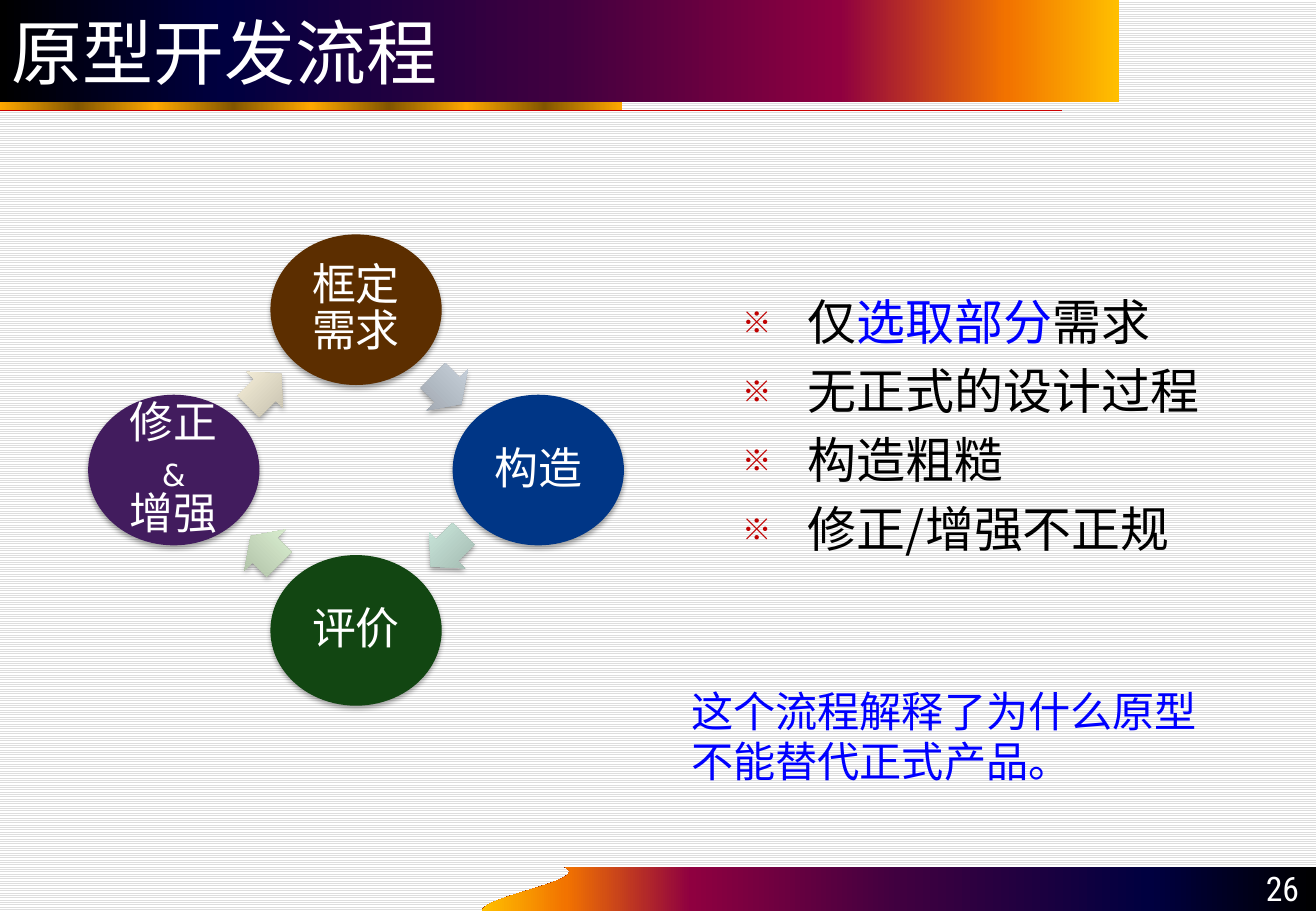
from dataclasses import dataclass
from typing import Any, NamedTuple

from lxml.etree import SubElement
from pptx import Presentation
from pptx.dml.color import RGBColor
from pptx.enum.dml import MSO_PATTERN
from pptx.enum.shapes import MSO_CONNECTOR, MSO_SHAPE as SHAPE
from pptx.enum.text import MSO_ANCHOR as ANCHOR, PP_ALIGN as ALIGN
from pptx.oxml.ns import qn
from pptx.util import Inches, Pt


@dataclass(frozen=True)
class Theme:
    white: str = "FFFFFF"
    black: str = "000000"
    stripe: str = "DDDDDD"
    blue: str = "0000FF"
    rule: str = "CC0000"
    bullet: str = "C00000"
    gold: str = "FFA800"
    bronze: str = "825600"
    sunset: tuple = ((0, "000000"), (20, "000040"), (50, "400040"),
                     (75, "8F0040"), (90, "F27300"), (100, "FFBF00"))
    cjk: str = "Noto Sans CJK SC"
    latin: str = "DejaVu Sans"
    number: str = "Roboto Condensed"
    title_size: int = 42
    body_size: int = 29
    step_size: int = 26
    note_size: int = 25
    number_size: int = 20
    ampersand_size: int = 18


THEME = Theme()


class Piece(NamedTuple):
    text: str
    size: int
    color: str
    font: str = THEME.cjk


class Step(NamedTuple):
    lines: tuple[Piece, ...]
    color: str
    dx: int
    dy: int


class Turn(NamedTuple):
    preset: Any
    rotation: int
    width: float
    height: float
    dx: float
    dy: float
    shades: tuple[str, str, str]


def apply(target: Any, values: dict[str, Any]) -> None:
    for key, value in values.items():
        setattr(target, key, value)


def rgb(color: str) -> RGBColor:
    return RGBColor.from_string(color)


def paint_solid(shape: Any, color: str) -> None:
    shape.fill.solid()
    shape.fill.fore_color.rgb = rgb(color)


def paint_gradient(shape: Any, stops: tuple, angle: int) -> None:
    shape.fill.gradient()
    shape.fill.gradient_angle = angle
    stop_list = next(shape._element.spPr.iter(qn("a:gsLst")))
    for old in list(stop_list):
        stop_list.remove(old)
    for percent, color in stops:
        stop = SubElement(stop_list, qn("a:gs"), pos=str(round(percent * 1000)))
        SubElement(stop, qn("a:srgbClr"), val=color)


def strip_style(shape: Any) -> None:
    shape.line.fill.background()
    shape.shadow.inherit = False


def add_soft_shadow(shape: Any) -> None:
    effects = shape._element.spPr.find(qn("a:effectLst"))
    shadow = SubElement(effects, qn("a:outerShdw"), blurRad=str(Pt(3.1)),
                        dist=str(Pt(1.8)), dir="5400000", rotWithShape="0")
    color = SubElement(shadow, qn("a:srgbClr"), val=THEME.black)
    SubElement(color, qn("a:alpha"), val="35000")


def add_preset(slide: Any, preset: Any, left: float, top: float, width: float, height: float) -> Any:
    shape = slide.shapes.add_shape(preset, Inches(left), Inches(top), Inches(width), Inches(height))
    strip_style(shape)
    return shape


def add_text(slide: Any, left: float, top: float, width: float, height: float) -> Any:
    box = slide.shapes.add_textbox(Inches(left), Inches(top), Inches(width), Inches(height))
    box.text_frame.word_wrap = True
    return box.text_frame


def write(paragraph: Any, piece: Piece) -> None:
    run = paragraph.add_run()
    run.text = piece.text
    apply(run.font, {"name": piece.font, "size": Pt(piece.size)})
    run.font.color.rgb = rgb(piece.color)
    SubElement(run._r.get_or_add_rPr(), qn("a:ea"), typeface=piece.font)


def paragraph_at(frame: Any, index: int) -> Any:
    return frame.add_paragraph() if index else frame.paragraphs[0]


def draw_footer(slide: Any) -> None:
    curve = ((3.97, 7.5), (3.97, 7.38), (4.87, 7.25), (4.65, 7.14))
    weights = (1, 3, 3, 1)
    count = 24
    points = [
        tuple(Inches(sum(weights[k] * (1 - t) ** (3 - k) * t ** k * curve[k][axis] for k in range(4)))
              for axis in (0, 1))
        for t in (i / count for i in range(count + 1))
    ]
    corners = [(Inches(10.83), Inches(y)) for y in (7.14, 7.5)]
    builder = slide.shapes.build_freeform(*points[0])
    builder.add_line_segments(points[1:] + corners, close=True)
    wave = builder.convert_to_shape()
    strip_style(wave)
    paint_gradient(wave, THEME.sunset, 180)
    frame = add_text(slide, 9.83, 7.13, 0.96, 0.4)
    frame.vertical_anchor = ANCHOR.BOTTOM
    frame.paragraphs[0].alignment = ALIGN.RIGHT
    write(frame.paragraphs[0], Piece("26", THEME.number_size, THEME.white, THEME.number))


def draw_header(slide: Any) -> None:
    strip = add_preset(slide, SHAPE.RECTANGLE, 0, 0.76, 5.12, 0.15)
    shine = tuple((i * 12.5, THEME.bronze if i % 2 else THEME.gold) for i in range(9))
    paint_gradient(strip, shine, 0)
    rule = slide.shapes.add_connector(MSO_CONNECTOR.STRAIGHT, 0, Inches(0.91), Inches(8.74), Inches(0.91))
    rule.line.color.rgb = rgb(THEME.rule)
    rule.line.width = Pt(0.75)
    SubElement(rule._element.spPr, qn("a:effectLst"))
    band = add_preset(slide, SHAPE.RECTANGLE, 0, 0, 9.21, 0.84)
    paint_gradient(band, THEME.sunset, 0)
    band.text_frame.vertical_anchor = ANCHOR.MIDDLE
    band.text_frame.paragraphs[0].alignment = ALIGN.LEFT
    write(band.text_frame.paragraphs[0], Piece("原型开发流程", THEME.title_size, THEME.white, THEME.latin))


HUB_X, HUB_Y, REACH_X, REACH_Y = 2.93, 3.87, 1.5, 1.32


def step_line(text: str) -> Piece:
    return Piece(text, THEME.step_size, THEME.white)


def draw_step(slide: Any, step: Step) -> None:
    width, height = 1.41, 1.24
    circle = add_preset(slide, SHAPE.OVAL, HUB_X + step.dx * REACH_X - width / 2,
                        HUB_Y + step.dy * REACH_Y - height / 2, width, height)
    paint_solid(circle, step.color)
    add_soft_shadow(circle)
    apply(circle.text_frame, {"word_wrap": False, "vertical_anchor": ANCHOR.MIDDLE, "margin_left": 0,
                              "margin_right": 0, "margin_top": 0, "margin_bottom": 0})
    paragraph = circle.text_frame.paragraphs[0]
    apply(paragraph, {"alignment": ALIGN.CENTER,
                      "line_spacing": Pt(27)})
    for index, line in enumerate(step.lines):
        if index:
            paragraph.add_line_break()
        write(paragraph, line)


def draw_turn(slide: Any, turn: Turn) -> None:
    arrow = add_preset(slide, turn.preset, HUB_X + turn.dx * REACH_X - turn.width / 2,
                       HUB_Y + turn.dy * REACH_Y - turn.height / 2, turn.width, turn.height)
    arrow.rotation = turn.rotation
    arrow.adjustments[0] = 0.6
    paint_gradient(arrow, tuple(zip((0, 80, 100), turn.shades)), 90)
    add_soft_shadow(arrow)


def draw_cycle(slide: Any) -> None:
    ampersand = Piece("&", THEME.ampersand_size, THEME.white, THEME.latin)
    steps = (
        Step((step_line("框定"), step_line("需求")), "5C2E00", 0, -1),
        Step((step_line("构造"),), "003686", 1, 0),
        Step((step_line("评价"),), "124612", 0, 1),
        Step((step_line("修正"), ampersand, step_line("增强")), "421C5E", -1, 0),
    )
    turns = (
        Turn(SHAPE.RIGHT_ARROW, 45, 0.33, 0.48, 0.5, -0.5, ("989FA7", "C5CED8", "C6CFDA")),
        Turn(SHAPE.LEFT_ARROW, 315, 0.38, 0.42, 0.5, 0.5, ("9AB0A7", "C8E4D9", "C9E6DA")),
        Turn(SHAPE.LEFT_ARROW, 45, 0.33, 0.48, -0.5, 0.5, ("A6B69E", "D8ECCE", "D9EECE")),
        Turn(SHAPE.RIGHT_ARROW, 315, 0.38, 0.42, -0.5, -0.5, ("BBB6A5", "F3ECD6", "F4EED6")),
    )
    for step, turn in zip(steps, turns):
        draw_step(slide, step)
        draw_turn(slide, turn)


def draw_points(slide: Any) -> None:
    points = (
        (("仅", THEME.black), ("选取部分", THEME.blue), ("需求", THEME.black)),
        (("无正式的设计过程", THEME.black),),
        (("构造粗糙", THEME.black),),
        (("修正/增强不正规", THEME.black),),
    )
    frame = add_text(slide, 6.01, 2.36, 4.4, 2.76)
    for index, parts in enumerate(points):
        paragraph = paragraph_at(frame, index)
        apply(paragraph, {"line_spacing": Pt(34), "space_before": Pt(7 if index else 0)})
        props = paragraph._p.get_or_add_pPr()
        props.set("marL", str(Inches(0.54)))
        props.set("indent", str(-Inches(0.54)))
        SubElement(SubElement(props, qn("a:buClr")), qn("a:srgbClr"), val=THEME.bullet)
        SubElement(props, qn("a:buSzPct"), val="60000")
        SubElement(props, qn("a:buFont"), typeface=THEME.cjk)
        SubElement(props, qn("a:buChar"), char="※")
        for text, color in parts:
            write(paragraph, Piece(text, THEME.body_size, color))


def draw_note(slide: Any) -> None:
    frame = add_text(slide, 5.59, 5.6, 4.42, 0.95)
    frame.word_wrap = False
    for index, line in enumerate(("这个流程解释了为什么原型", "不能替代正式产品。")):
        paragraph = paragraph_at(frame, index)
        paragraph.line_spacing = Pt(29.5)
        write(paragraph, Piece(line, THEME.note_size, THEME.blue))


def main() -> None:
    deck = Presentation()
    apply(deck, {"slide_width": Inches(10.83), "slide_height": Inches(7.5)})
    slide = deck.slides.add_slide(deck.slide_layouts[6])
    backdrop = slide.background.fill
    backdrop.patterned()
    backdrop.pattern = MSO_PATTERN.LIGHT_HORIZONTAL
    backdrop.fore_color.rgb = rgb(THEME.stripe)
    backdrop.back_color.rgb = rgb(THEME.white)
    for draw in (draw_footer, draw_header, draw_cycle, draw_points, draw_note):
        draw(slide)
    deck.save("out.pptx")


if __name__ == "__main__":
    main()
